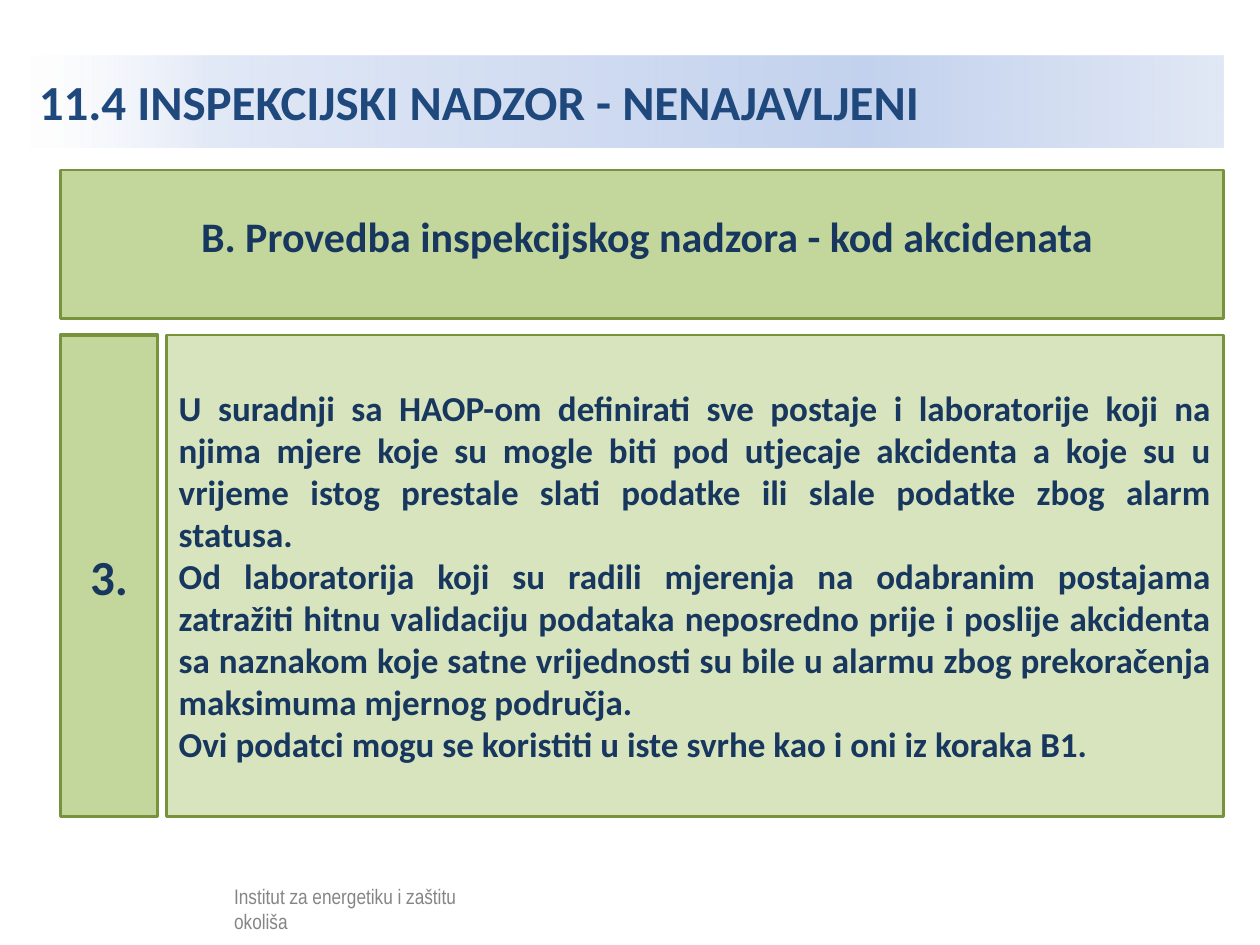
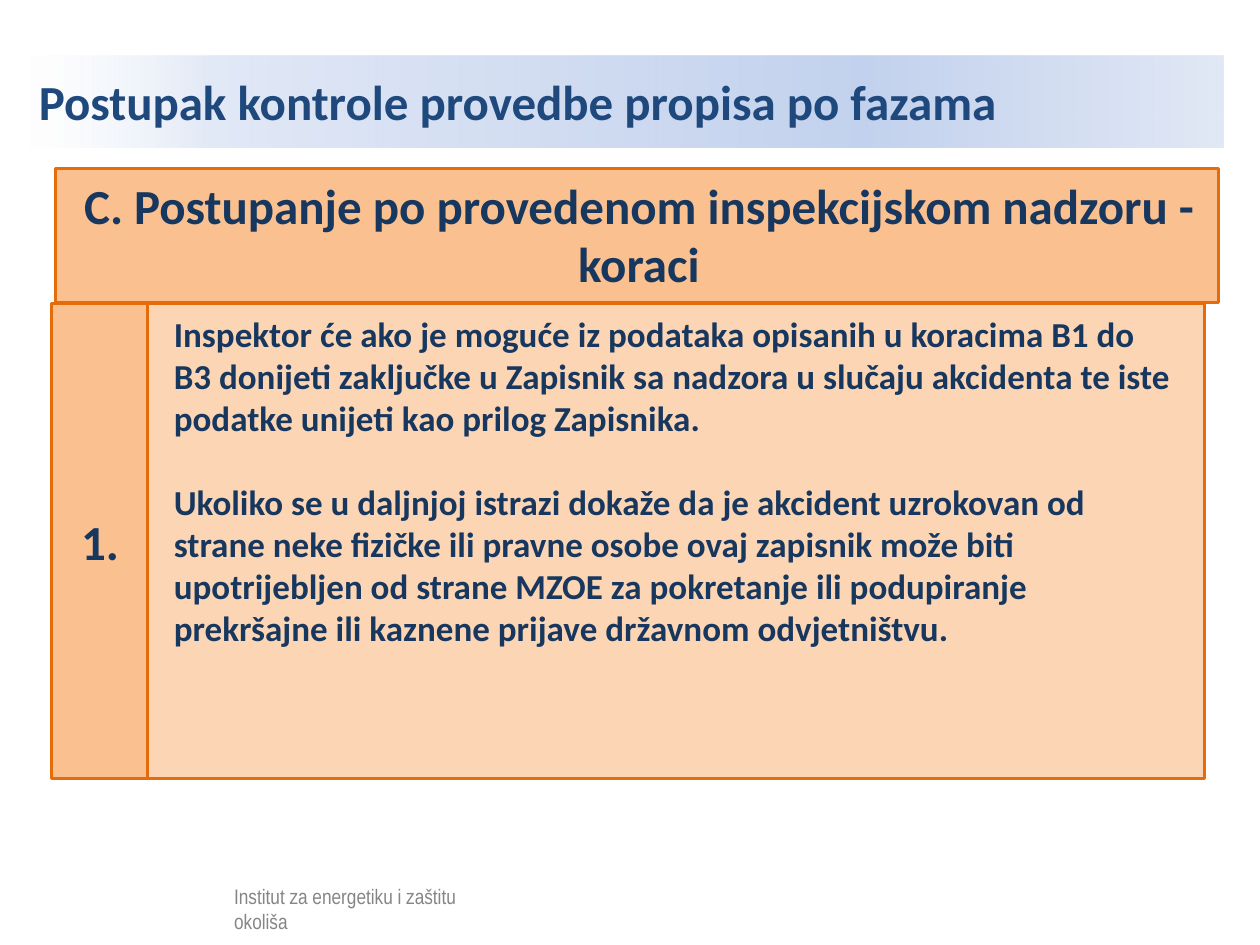
from collections import namedtuple
from dataclasses import dataclass

from lxml.etree import SubElement
from pptx import Presentation
from pptx.dml.color import RGBColor
from pptx.enum.shapes import MSO_SHAPE
from pptx.enum.text import MSO_ANCHOR, PP_ALIGN
from pptx.oxml.ns import qn
from pptx.util import Inches, Pt

Box = namedtuple("Box", "left top width height")
Pad = namedtuple("Pad", "left top right bottom", defaults=(0.1, 0.05, 0.1, 0.05))
Tint = namedtuple("Tint", "deep pale line")


@dataclass(frozen=True)
class Theme:
    font: str = "Calibri"
    small_font: str = "Arial Narrow"
    title: str = "1F497D"
    ink: str = "17375E"
    grey: str = "858585"
    green: Tint = Tint("C3D69B", "D7E4BD", "77933C")
    orange: Tint = Tint("FAC090", "FCD5B5", "E46C0A")
    # position %, colour, opacity %
    fade: tuple = ((0, "FFFFFF", 52), (16, "E1E8F6", 100),
                   (70, "C2D1ED", 100), (100, "E1E8F5", 100))
    big: int = 28
    mid: int = 24
    text: int = 20
    small: int = 12


THEME = Theme()
TITLE = Box(0.21, 0.44, 9.5, 0.73)
FOOTER = Box(1.76, 6.96, 2.09, 0.45)
NUMBER_WIDTH = 0.77


def rgb(code):
    return RGBColor.from_string(code)


def add_rect(slide, box, fill=None, line=None, weight=1.5):
    rect = slide.shapes.add_shape(MSO_SHAPE.RECTANGLE, *map(Inches, box))
    rect.shadow.inherit = False
    if fill:
        rect.fill.solid()
        rect.fill.fore_color.rgb = rgb(fill)
    if line:
        rect.line.color.rgb = rgb(line)
        rect.line.width = Pt(weight)
    else:
        rect.line.fill.background()
    return rect


def write(shape, texts, size, color=THEME.ink, font=THEME.font, bold=True,
          align=PP_ALIGN.LEFT, anchor=MSO_ANCHOR.MIDDLE, pad=Pad(), gap=0):
    """Fill a shape with one paragraph per text, gap points apart."""
    frame = shape.text_frame
    frame.word_wrap = True
    frame.vertical_anchor = anchor
    frame.margin_left, frame.margin_top, frame.margin_right, frame.margin_bottom = map(Inches, pad)
    for i, text in enumerate(texts):
        para = frame.add_paragraph() if i else frame.paragraphs[0]
        para.alignment = align
        if i and gap:
            para.space_before = Pt(gap)
        run = para.add_run()
        run.text = text
        run.font.size = Pt(size)
        run.font.name = font
        run.font.bold = bold
        run.font.color.rgb = rgb(color)


def set_fade(shape, stops):
    """Give a shape a left-to-right gradient with any number of stops."""
    shape.fill.gradient()
    shape.fill.gradient_angle = 0
    items = shape._element.spPr.find(qn("a:gradFill")).find(qn("a:gsLst"))
    for old in list(items):
        items.remove(old)
    for place, code, alpha in stops:
        stop = SubElement(items, qn("a:gs"), pos=str(place * 1000))
        color = SubElement(stop, qn("a:srgbClr"), val=code)
        if alpha < 100:
            SubElement(color, qn("a:alpha"), val=str(alpha * 1000))


def add_frame(deck, title):
    """Add a blank slide with the shared title band and footer."""
    slide = deck.slides.add_slide(deck.slide_layouts[6])
    band = add_rect(slide, TITLE)
    set_fade(band, THEME.fade)
    write(band, [title], THEME.big, THEME.title)
    footer = slide.shapes.add_textbox(*map(Inches, FOOTER))
    write(footer, ["Institut za energetiku i zaštitu okoliša"], THEME.small, THEME.grey,
          THEME.small_font, bold=False, anchor=MSO_ANCHOR.TOP)
    return slide


def add_banner(slide, box, tint, text, size, pad):
    banner = add_rect(slide, box, tint.deep, tint.line)
    write(banner, [text], size, align=PP_ALIGN.CENTER, anchor=MSO_ANCHOR.TOP, pad=pad)


def add_step(slide, box, tint, number, texts, space=0, **style):
    """Place a number cell and, space inches to its right, the step's text."""
    cell = add_rect(slide, box._replace(width=NUMBER_WIDTH), tint.deep, tint.line, 2)
    write(cell, [number], THEME.big, align=PP_ALIGN.CENTER)
    shift = NUMBER_WIDTH + space
    body = add_rect(slide, box._replace(left=box.left + shift, width=box.width - shift),
                    tint.pale, tint.line)
    write(body, texts, THEME.text, **style)


def add_accident(deck):
    slide = add_frame(deck, "11.4 INSPEKCIJSKI NADZOR - NENAJAVLJENI")
    add_banner(slide, Box(0.48, 1.35, 9.23, 1.18), THEME.green,
               "B. Provedba inspekcijskog nadzora - kod akcidenata",
               THEME.mid, Pad(left=0.18, top=0.32))
    add_step(slide, Box(0.48, 2.66, 9.23, 3.82), THEME.green, "3.", [
        "U suradnji sa HAOP-om definirati sve postaje i laboratorije koji na njima mjere "
        "koje su mogle biti pod utjecaje akcidenta a koje su u vrijeme istog prestale slati "
        "podatke ili slale podatke zbog alarm statusa.",
        "Od laboratorija koji su radili mjerenja na odabranim postajama zatražiti hitnu "
        "validaciju podataka neposredno prije i poslije akcidenta sa naznakom koje satne "
        "vrijednosti su bile u alarmu zbog prekoračenja maksimuma mjernog područja.",
        "Ovi podatci mogu se koristiti u iste svrhe kao i oni iz koraka B1.",
    ], space=0.07, align=PP_ALIGN.JUSTIFY)


def add_outcome(deck):
    slide = add_frame(deck, "Postupak kontrole provedbe propisa po fazama")
    add_banner(slide, Box(0.44, 1.34, 9.23, 1.06), THEME.orange,
               "C. Postupanje po provedenom inspekcijskom nadzoru - koraci",
               THEME.big, Pad(left=0.12, right=0.09))
    add_step(slide, Box(0.41, 2.41, 9.15, 3.77), THEME.orange, "1.", [
        "Inspektor će ako je moguće iz podataka opisanih u koracima B1 do B3 donijeti "
        "zaključke u Zapisnik sa nadzora u slučaju akcidenta te iste podatke unijeti kao "
        "prilog Zapisnika.",
        "Ukoliko se u daljnjoj istrazi dokaže da je akcident uzrokovan od strane neke "
        "fizičke ili pravne osobe ovaj zapisnik može biti upotrijebljen od strane MZOE za "
        "pokretanje ili podupiranje prekršajne ili kaznene prijave državnom odvjetništvu.",
    ], space=-0.01, anchor=MSO_ANCHOR.TOP, pad=Pad(0.21, 0.07, 0.21), gap=24)


def main():
    deck = Presentation()
    deck.slide_width, deck.slide_height = Inches(10), Inches(7.5)
    add_accident(deck)
    add_outcome(deck)
    deck.save("out.pptx")


if __name__ == "__main__":
    main()
